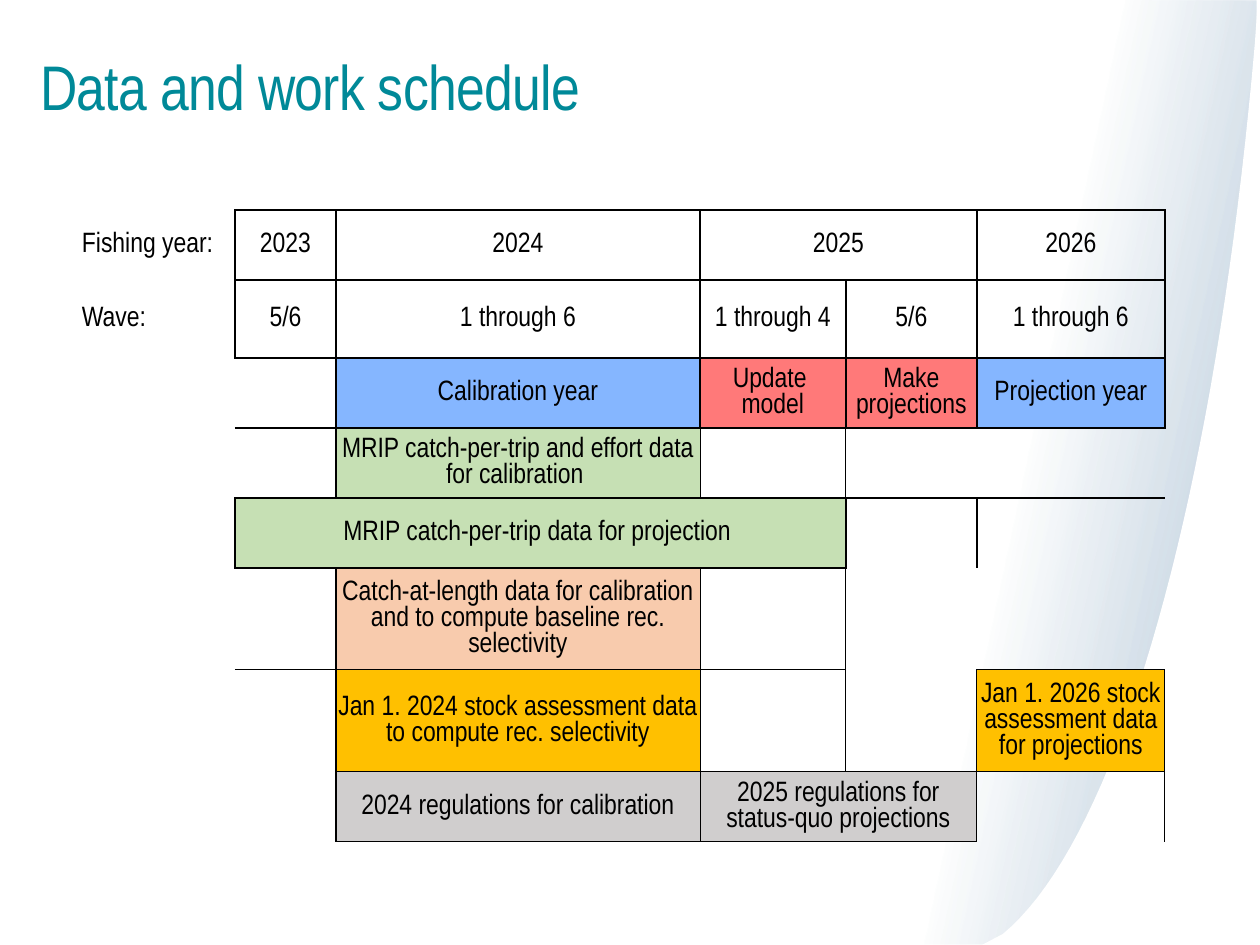
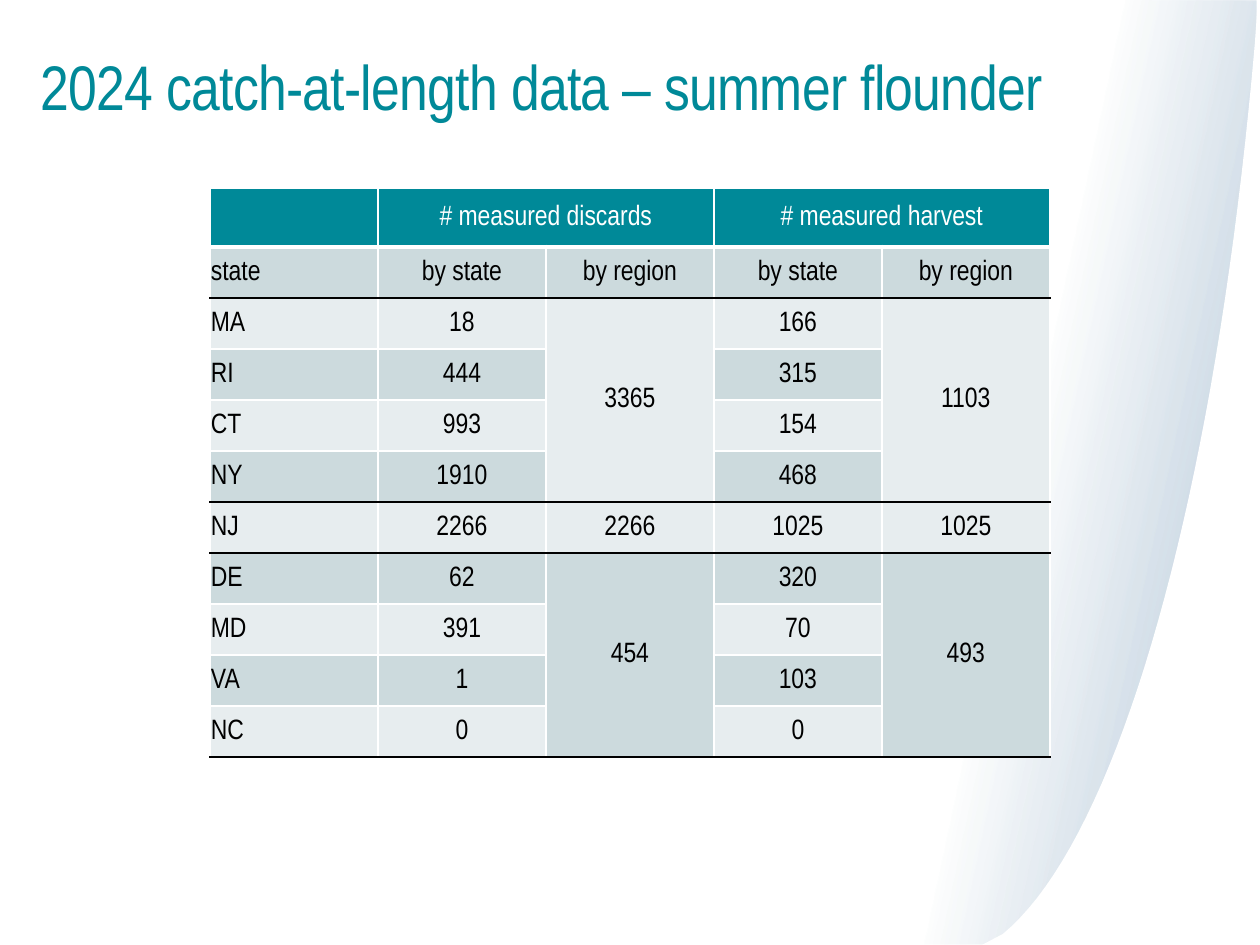
import pptx
import pptx.util
import pptx.dml.color
import pptx.enum.text
import pptx.oxml
import pptx.oxml.ns
from lxml import etree

# Shared look
PX = 914400 // 126
FONT = "Arial Narrow"
HUE = {
    "white": "FFFFFF", "black": "000000", "teal": "008998", "navy": "07477D",
    "blue": "85B6FF", "red": "FF7979", "green": "C6E0B4", "peach": "F8CBAD",
    "gold": "FFC000", "gray": "D0CECE", "dark": "CCDADD", "light": "E7EDEF",
}
PLAIN = "{2D5ABB26-0587-4C30-8999-92F81FD0307C}"

# Background outlines: corner points, with a curve as a tuple of four points
SWEEP = [(1236, 945), (881, 944), (1099, 0), (1256, 1),
         ((1256, 1), (1259, 440), (1217, 600), (1236, 945))]
EDGE = [(1258, 0), (1260, 0), (1260, 945), (982, 945), (1003, 934),
        ((1003, 934), (1120, 837), (1216, 493), (1255, 43)), (1258, 0)]

# Schedule: row, column, text, fill, row span, column span, line weight
PLAN = {
    "title": "Data and work schedule",
    "cols": [154, 101, 364, 146, 131, 188],
    "rows": [70, 78, 70, 70, 70, 80, 80, 70],
    "blocks": [
        (0, 0, "Fishing year:", None, 1, 1, 0),
        (0, 1, "2023", None, 1, 1, 1),
        (0, 2, "2024", None, 1, 1, 1),
        (0, 3, "2025", None, 1, 2, 1),
        (0, 5, "2026", None, 1, 1, 1),
        (1, 0, "Wave:", None, 1, 1, 0),
        (1, 1, "5/6", None, 1, 1, 1),
        (1, 2, "1 through 6", None, 1, 1, 1),
        (1, 3, "1 through 4", None, 1, 1, 1),
        (1, 4, "5/6", None, 1, 1, 1),
        (1, 5, "1 through 6", None, 1, 1, 1),
        (2, 2, "Calibration year", "blue", 1, 1, 1),
        (2, 3, "Update \nmodel", "red", 1, 1, 1),
        (2, 4, "Make projections", "red", 1, 1, 1),
        (2, 5, "Projection year", "blue", 1, 1, 1),
        (3, 2, "MRIP catch-per-trip and effort data for calibration ", "green", 1, 1, 0.5),
        (4, 1, "MRIP catch-per-trip data for projection ", "green", 1, 3, 1),
        (5, 2, "Catch-at-length data for calibration and to compute baseline rec. selectivity",
         "peach", 1, 1, 0.5),
        (6, 2, "Jan 1. 2024 stock assessment data to compute rec. selectivity", "gold", 1, 1, 0.5),
        (6, 5, "Jan 1. 2026 stock assessment data for projections", "gold", 1, 1, 0.5),
        (7, 2, "2024 regulations for calibration", "gray", 1, 1, 0.5),
        (7, 3, "2025 regulations for status-quo projections", "gray", 1, 2, 0.5),
    ],
}

# Counts: regions hold states with discards and harvest, then the two totals
COUNT = {
    "title": "2024 catch-at-length data – summer flounder",
    "heads": ["# measured discards", "# measured harvest"],
    "names": ["state", "by state", "by region", "by state", "by region"],
    "regions": [
        ([("MA", 18, 166), ("RI", 444, 315), ("CT", 993, 154), ("NY", 1910, 468)], 3365, 1103),
        ([("NJ", 2266, 1025)], 2266, 1025),
        ([("DE", 62, 320), ("MD", 391, 70), ("VA", 1, 103), ("NC", 0, 0)], 454, 493),
    ],
}


def rgb(name):
    return pptx.dml.color.RGBColor.from_string(HUE[name])


def style(para, size, hue):
    for run in para.runs:
        run.font.name = FONT
        run.font.size = pptx.util.Pt(size)
        run.font.color.rgb = rgb(hue)


def bend(a, b, c, d, steps=40):
    """Points along a cubic curve, after its start."""
    for i in range(1, steps + 1):
        t = i / steps
        u = 1 - t
        yield tuple(u**3 * p + 3 * u * u * t * q + 3 * u * t * t * r + t**3 * s
                    for p, q, r, s in zip(a, b, c, d))


def shape(slide, outline):
    pts = []
    for part in outline:
        pts += bend(*part) if isinstance(part[0], tuple) else [part]
    pts = [(round(x * PX), round(y * PX)) for x, y in pts]
    pen = slide.shapes.build_freeform(*pts[0], scale=1.0)
    pen.add_line_segments(pts[1:], close=True)
    form = pen.convert_to_shape()
    form.shadow.inherit = False
    form.line.fill.background()
    form.fill.solid()
    form.fill.fore_color.rgb = rgb("white")
    return form


def fade(form):
    """Turn the solid fill into a slanted fade from clear to navy."""
    stops = "".join(
        f'<a:gs pos="{pos}000"><a:srgbClr val="{HUE["navy"]}">'
        f'<a:alpha val="{alpha}000"/></a:srgbClr></a:gs>'
        for pos, alpha in [(42, 0), (100, 34)])
    grad = pptx.oxml.parse_xml(
        f'<a:gradFill {pptx.oxml.ns.nsdecls("a")} rotWithShape="1"><a:gsLst>{stops}</a:gsLst>'
        f'<a:lin ang="{12 * 60000}" scaled="0"/></a:gradFill>')
    old = form._element.spPr.find(pptx.oxml.ns.qn("a:solidFill"))
    old.getparent().replace(old, grad)


def page(deck, title):
    slide = deck.slides.add_slide(deck.slide_layouts[6])
    fade(shape(slide, SWEEP))
    shape(slide, EDGE)
    box = slide.shapes.add_textbox(28 * PX, 50 * PX, 1145 * PX, 131 * PX)
    box.text_frame.word_wrap = True
    box.text_frame.text = title
    para = box.text_frame.paragraphs[0]
    para.line_spacing = 0.9
    style(para, 36, "teal")
    para.runs[0].font._element.set("spc", "-40")
    return slide


def border(cell, sides):
    """Write the cell lines, which come before the fill."""
    props = cell._tc.get_or_add_tcPr()
    spot = 0
    for side, (hue, width) in sides:
        line = etree.Element(pptx.oxml.ns.qn("a:ln" + side), w=str(int(width * 12700)))
        fill = etree.SubElement(line, pptx.oxml.ns.qn("a:solidFill"))
        etree.SubElement(fill, pptx.oxml.ns.qn("a:srgbClr"), val=HUE[hue])
        props.insert(spot, line)
        spot += 1


def outline(row, col, high, wide):
    """Keys of the grid lines round a block."""
    for c in range(col, col + wide):
        yield from (("h", row, c), ("h", row + high, c))
    for r in range(row, row + high):
        yield from (("v", r, col), ("v", r, col + wide))


def grid(slide, left, top, cols, rows, blocks, lines):
    """Blocks are row, column, text, fill, row span, column span, text hue."""
    frame = slide.shapes.add_table(len(rows), len(cols), left * PX, top * PX,
                                   sum(cols) * PX, sum(rows) * PX)
    table = frame.table
    table.first_row = table.horz_banding = False
    table._tbl.tblPr.find(pptx.oxml.ns.qn("a:tableStyleId")).text = PLAIN
    for i, wide in enumerate(cols):
        table.columns[i].width = wide * PX
    for i, high in enumerate(rows):
        table.rows[i].height = high * PX

    spans = {}
    for row, col, text, fill, high, wide, hue in blocks:
        cell = table.cell(row, col)
        spans[row, col] = high, wide
        if high * wide > 1:
            cell.merge(table.cell(row + high - 1, col + wide - 1))
        if fill:
            cell.fill.solid()
            cell.fill.fore_color.rgb = rgb(fill)
        cell.text_frame.text = text
        for para in cell.text_frame.paragraphs:
            if col:
                para.alignment = pptx.enum.text.PP_ALIGN.CENTER
            style(para, 16, hue)

    for r in range(len(rows)):
        for c in range(len(cols)):
            cell = table.cell(r, c)
            cell.vertical_anchor = pptx.enum.text.MSO_ANCHOR.MIDDLE
            cell.margin_left = cell.margin_right = cell.margin_top = PX
            cell.margin_bottom = 0
            high, wide = spans.get((r, c), (1, 1))
            keys = {"L": ("v", r, c), "R": ("v", r, c + wide),
                    "T": ("h", r, c), "B": ("h", r + high, c)}
            border(cell, [(s, lines[k]) for s, k in keys.items() if k in lines])


def plan(deck):
    lines = {}
    for row, col, text, fill, high, wide, weight in PLAN["blocks"]:
        for key in outline(row, col, high, wide) if weight else ():
            # The left side of the 2024 column is always full weight
            least = 1 if key[0] == "v" and key[2] == 2 else weight
            lines[key] = "black", max(least, lines.get(key, ("", 0))[1])
    blocks = [block[:6] + ("black",) for block in PLAN["blocks"]]
    grid(page(deck, PLAN["title"]), 81, 210, PLAN["cols"], PLAN["rows"], blocks, lines)


def count(deck):
    blocks = [(0, 0, "", "teal", 1, 1, "white")]
    blocks += [(0, 1 + 2 * i, head, "teal", 1, 2, "white")
               for i, head in enumerate(COUNT["heads"])]
    blocks += [(1, c, name, "dark", 1, 1, "black") for c, name in enumerate(COUNT["names"])]
    rules = {1: ("white", 3), 2: ("black", 1)}
    row = 2
    for states, *sums in COUNT["regions"]:
        for i, vals in enumerate(states):
            fill = "dark" if (row + i) % 2 else "light"
            blocks += [(row + i, c, str(val), fill, 1, 1, "black")
                       for c, val in zip((0, 1, 3), vals)]
        fill = "dark" if row % 2 else "light"
        blocks += [(row, c, str(val), fill, len(states), 1, "black")
                   for c, val in zip((2, 4), sums)]
        row += len(states)
        rules[row] = "black", 1

    lines = {}
    for r, c, text, fill, high, wide, hue in blocks:
        for key in outline(r, c, high, wide):
            lines[key] = rules.get(key[1], ("white", 1)) if key[0] == "h" else ("white", 1)
    grid(page(deck, COUNT["title"]), 210, 188, [168] * 5, [59] + [51] * (row - 1),
         blocks, lines)


def main():
    deck = pptx.Presentation()
    deck.slide_width, deck.slide_height = 1260 * PX, 945 * PX
    plan(deck)
    count(deck)
    deck.save("out.pptx")


if __name__ == "__main__":
    main()
